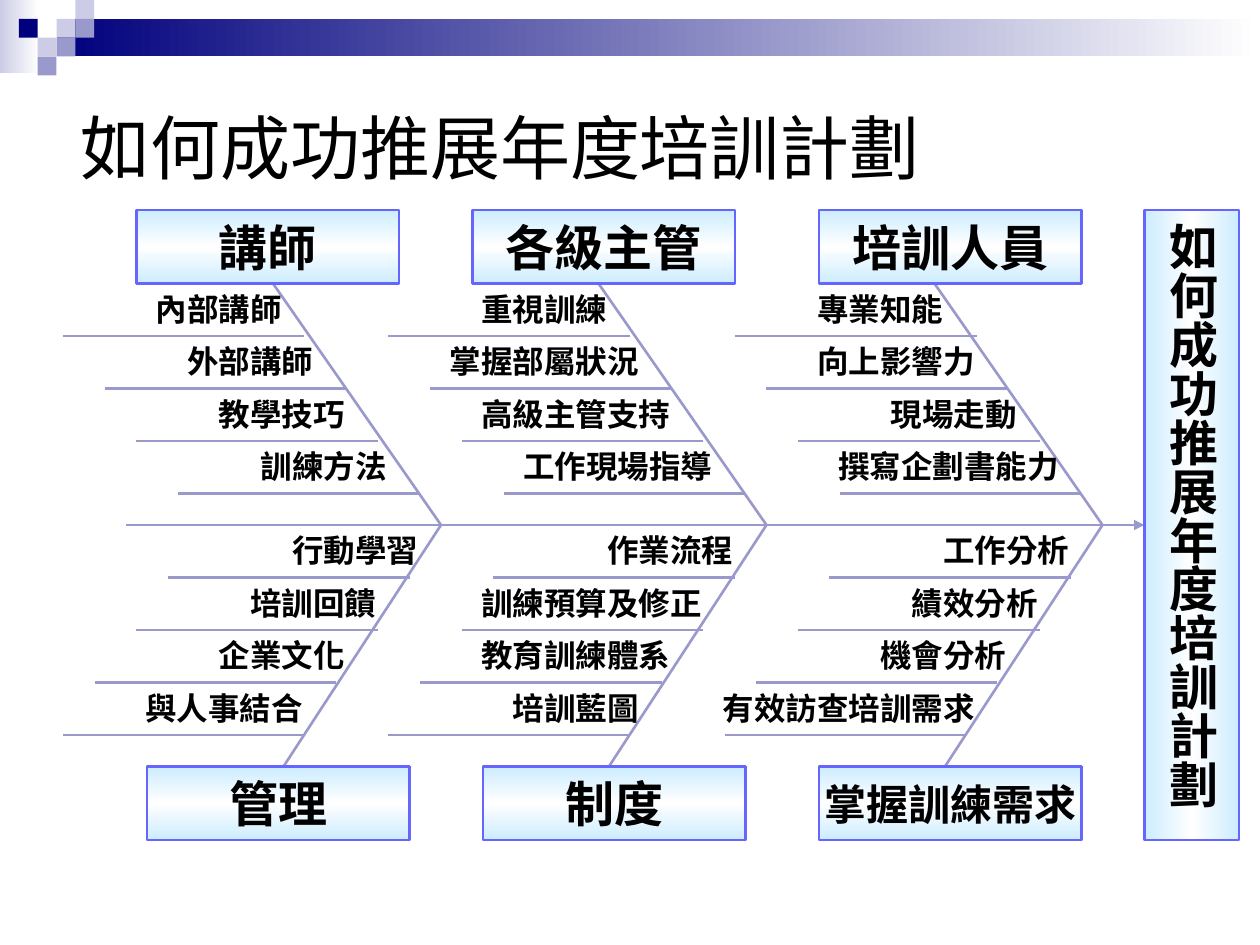
from copy import deepcopy

from lxml.etree import SubElement
from pptx import Presentation
from pptx.dml.color import RGBColor
from pptx.enum.lang import MSO_LANGUAGE_ID
from pptx.enum.shapes import MSO_CONNECTOR, MSO_SHAPE
from pptx.enum.text import MSO_ANCHOR, MSO_AUTO_SIZE, PP_ALIGN
from pptx.oxml.ns import qn
from pptx.util import Cm, Pt


class Theme:
    navy, mid, pale = "00007D", "9999CC", "CCCCE6"
    white, ink = "FFFFFF", "000000"
    sky, edge = "CCECFF", "6666FF"
    title, head, small, label = Pt(40), Pt(28), Pt(24), Pt(18)
    stroke = Pt(1.5)
    sans, serif = "Arial", "Times New Roman"


UNIT = 2.54 / 12  # the diagram sits on a grid of twelve steps to the inch


def shade(shape, tones, angle):
    """Fill with a gradient of two or three evenly spaced tones."""
    shape.fill.gradient()
    shape.fill.gradient_angle = angle
    if len(tones) == 3:
        first = shape.element.spPr.find(".//" + qn("a:gs"))
        first.addnext(deepcopy(first))
    for i, (stop, tone) in enumerate(zip(shape.fill.gradient_stops, tones)):
        stop.position = i / (len(tones) - 1)
        stop.color.rgb = RGBColor.from_string(tone)


def write(frame, text, size, align, face=Theme.serif, bold=True):
    para = frame.paragraphs[0]
    para.alignment = align
    run = para.add_run()
    run.text = text
    font = run.font
    font.name, font.size, font.bold = face, size, bold
    font.color.rgb = RGBColor.from_string(Theme.ink)
    font.language_id = MSO_LANGUAGE_ID.TRADITIONAL_CHINESE


deck = Presentation()
deck.slide_width, deck.slide_height = Cm(25.4), Cm(19.05)
slide = deck.slides.add_slide(deck.slide_layouts[5])
shapes = slide.shapes

# Header bands and mosaic squares
for left, top, width, height, tone in [
    (0, 0, 0.8, 1.48, Theme.pale),
    (1.14, 0.38, 24.26, 0.76, Theme.navy),
]:
    band = shapes.add_shape(
        MSO_SHAPE.RECTANGLE, Cm(left), Cm(top), Cm(width), Cm(height))
    band.shadow.inherit = False
    band.line.fill.background()
    shade(band, [tone, Theme.white], 0)

SIDE = 0.38
for col, row, tone in [
    (3, 1, Theme.pale), (4, 0, Theme.pale), (4, 1, Theme.mid),
    (2, 2, Theme.pale), (1, 1, Theme.navy), (3, 2, Theme.mid),
    (2, 3, Theme.mid),
]:
    tile = shapes.add_shape(
        MSO_SHAPE.RECTANGLE, Cm(SIDE * col), Cm(SIDE * row), Cm(SIDE), Cm(SIDE))
    tile.shadow.inherit = False
    tile.line.fill.background()
    tile.fill.solid()
    tile.fill.fore_color.rgb = RGBColor.from_string(tone)

# Title
GOAL = "如何成功推展年度培訓計劃"
title = shapes.title
title.left, title.top, title.width, title.height = (
    Cm(1.37), Cm(1.42), Cm(22.23), Cm(3.05))
title.text_frame.auto_size = MSO_AUTO_SIZE.NONE
title.text_frame.vertical_anchor = MSO_ANCHOR.MIDDLE
write(title.text_frame, GOAL, Theme.title, PP_ALIGN.LEFT, Theme.sans, False)

# Each cause: head, left of box, bone's outer x, bone's x on the spine,
# then twigs as (label, right of twig, right of label, label width)
SPINE, LENGTH = 50, 23
upper = [
    ("講師", 13, 26, 42, [
        ("內部講師", 29, 28, 26), ("外部講師", 33, 31, 26),
        ("教學技巧", 36, 34, 24), ("訓練方法", 40, 38, 24)]),
    ("各級主管", 45, 57, 73, [
        ("重視訓練", 60, 59, 22), ("掌握部屬狀況", 64, 62, 24),
        ("高級主管支持", 67, 65, 25), ("工作現場指導", 71, 69, 25)]),
    ("培訓人員", 78, 89, 105, [
        ("專業知能", 93, 91, 24), ("向上影響力", 96, 94, 22),
        ("現場走動", 99, 98, 24), ("撰寫企劃書能力", 103, 102, 24)]),
]
lower = [
    ("管理", 14, 27, 42, [
        ("行動學習", 39, 41, 28), ("培訓回饋", 36, 37, 24),
        ("企業文化", 32, 34, 24), ("與人事結合", 29, 30, 24)]),
    ("制度", 46, 58, 73, [
        ("作業流程", 70, 71, 24), ("訓練預算及修正", 67, 68, 27),
        ("教育訓練體系", 63, 65, 24), ("培訓藍圖", 60, 62, 24)]),
    ("掌握訓練需求", 78, 90, 105, [
        ("工作分析", 102, 103, 20), ("績效分析", 99, 100, 16),
        ("機會分析", 95, 97, 20), ("有效訪查培訓需求", 92, 94, 28)]),
]

# Gather boxes, lines and labels from both sides of the spine
boxes = [(GOAL, 109, 20, 9, 60)]
lines = [(12, SPINE, 109, SPINE)]
labels = []
for side, top, rim, start in [(upper, 20, 27, 32), (lower, 73, 73, 55)]:
    for head, left, outer, joint, twigs in side:
        boxes.append((head, left, top, 25, 7))
        lines.append((outer, rim, joint, SPINE))
        for i, (text, end, right, width) in enumerate(twigs):
            level = start + 5 * i
            lines.append((end - LENGTH, level, end, level))
            labels.append((text, right - width, level - 5, width))

bars = []
for spot in lines:
    bar = shapes.add_connector(
        MSO_CONNECTOR.STRAIGHT, *[Cm(UNIT * n) for n in spot])
    bar.line.width = Theme.stroke
    bar.line.color.rgb = RGBColor.from_string(Theme.mid)
    SubElement(bar.element.spPr, qn("a:effectLst"))
    bars.append(bar)
spine = bars[0]
SubElement(spine.element.spPr.find(qn("a:ln")), qn("a:tailEnd"), type="triangle")

for text, *spot in boxes:
    box = shapes.add_shape(MSO_SHAPE.RECTANGLE, *[Cm(UNIT * n) for n in spot])
    box.shadow.inherit = False
    box.line.width = Theme.stroke
    box.line.color.rgb = RGBColor.from_string(Theme.edge)
    tall = text == GOAL
    shade(box, [Theme.sky, Theme.white, Theme.sky], 0 if tall else 90)
    frame = box.text_frame
    frame.word_wrap = False
    frame.vertical_anchor = MSO_ANCHOR.MIDDLE
    if tall:
        frame.margin_left = frame.margin_right = Cm(0.13)
        frame.margin_top = frame.margin_bottom = Cm(0.25)
        frame._txBody.bodyPr.set("vert", "eaVert")
        spine.end_connect(box, 1)
    size = Theme.small if len(text) == 6 else Theme.head
    write(frame, text, size, PP_ALIGN.CENTER)

for text, left, top, width in labels:
    note = shapes.add_textbox(
        *[Cm(UNIT * n) for n in (left, top, width, 4.8)])
    note.text_frame.word_wrap = True
    write(note.text_frame, text, Theme.label, PP_ALIGN.RIGHT)

deck.save("out.pptx")
